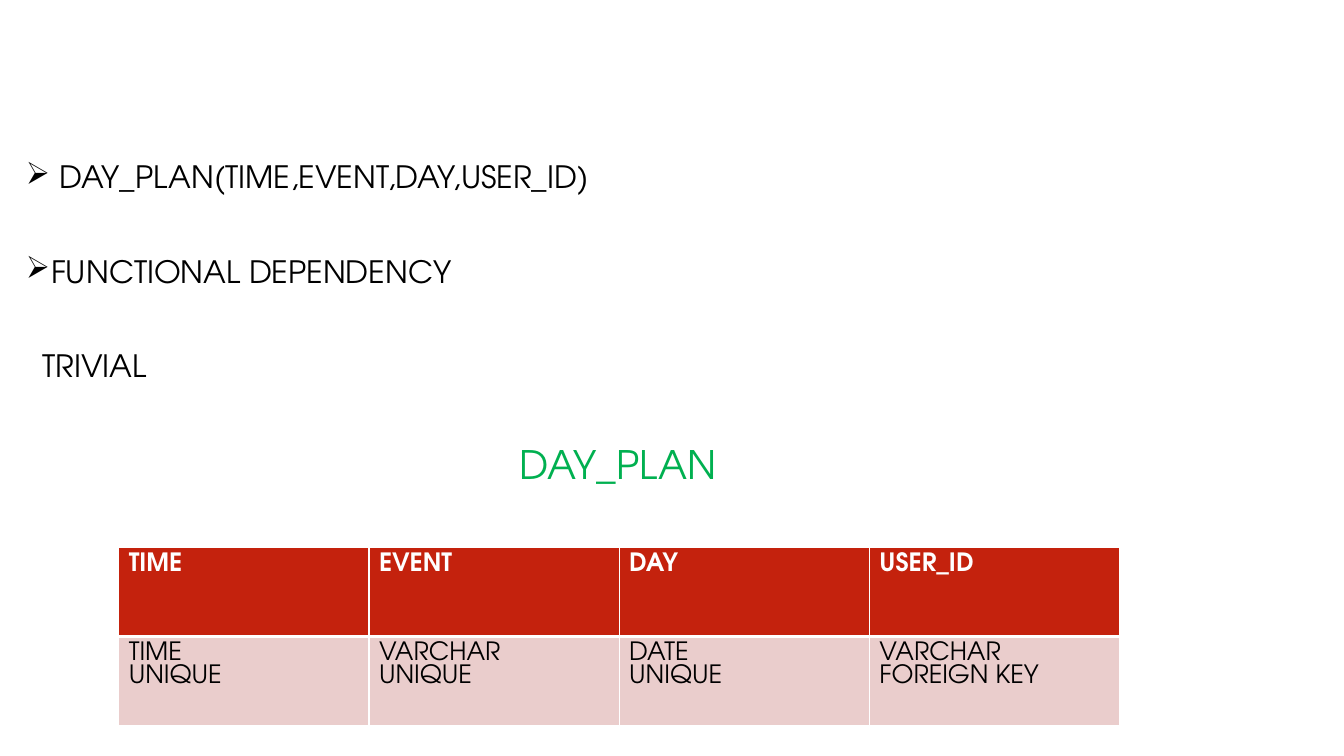
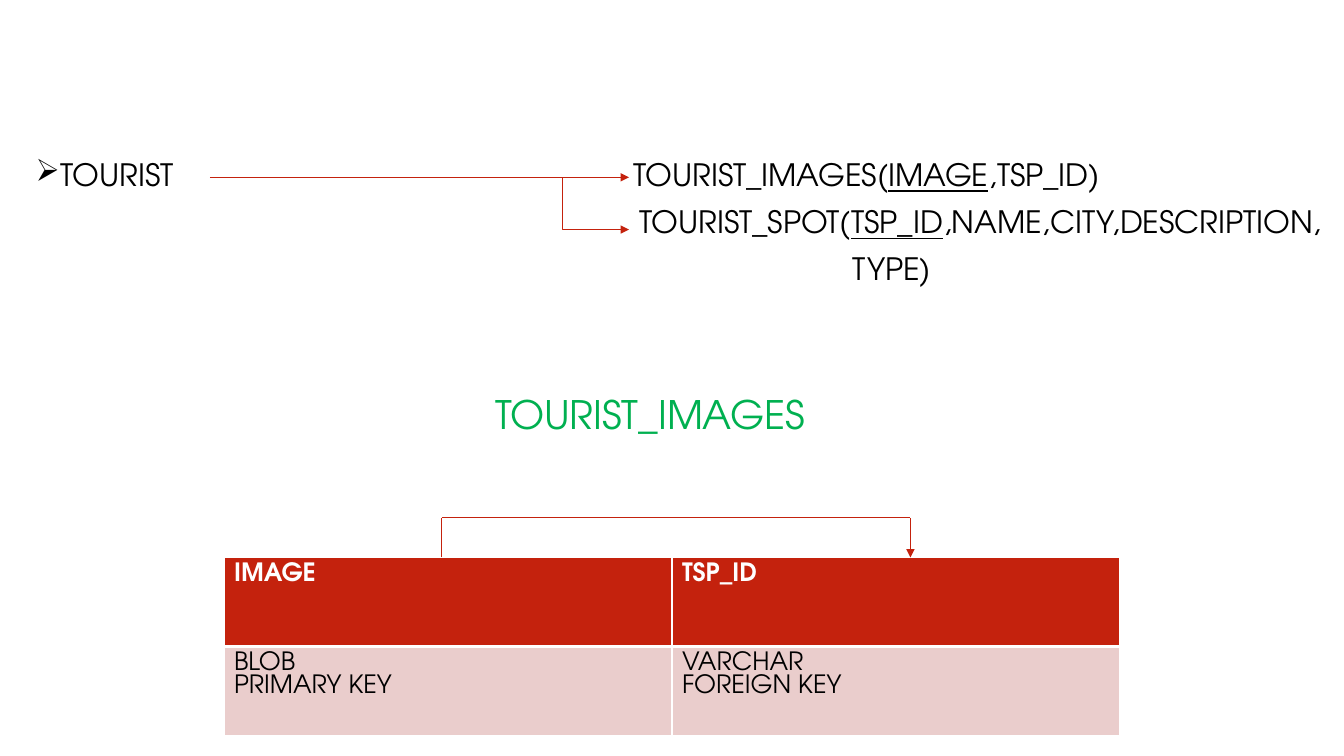
from dataclasses import dataclass

from lxml.etree import SubElement
from pptx import Presentation
from pptx.dml.color import RGBColor
from pptx.enum.shapes import MSO_CONNECTOR as Link
from pptx.enum.text import MSO_ANCHOR as Anchor, MSO_AUTO_SIZE as AutoSize, PP_ALIGN as Align
from pptx.oxml.ns import qn
from pptx.util import Pt

FONT, BULLET_FONT = "TeX Gyre Adventor", "OpenSymbol"
BLACK, WHITE, GREEN = "000000", "FFFFFF", "00B050"
RED, PINK = "C4220D", "EACDCC"
BODY_SIZE, TITLE_SIZE, CELL_SIZE = 22, 28, 18
LINE_SPACING = 0.9
ROW_HEIGHT = 63.6
TITLE_WIDTH, TITLE_HEIGHT = 400, 40


@dataclass(frozen=True)
class Line:
    """A line of body text; the last occurrence of `key` is underlined."""
    text: str
    indent: float = 0
    bullet: bool = False
    key: str = ""


@dataclass(frozen=True)
class Column:
    name: str
    kind: str
    rule: str


@dataclass(frozen=True)
class Arrow:
    start: tuple[float, float]
    end: tuple[float, float]
    head: bool = True
    bent: bool = False


def colour(value: str) -> RGBColor:
    return RGBColor.from_string(value)


def style(paragraph, size: float, fill: str, bold: bool = False) -> None:
    for run in paragraph.runs:
        run.font.name = FONT
        run.font.size = Pt(size)
        run.font.bold = bold
        run.font.color.rgb = colour(fill)


def add_title(slide, text: str, centre: float, top: float) -> None:
    title = slide.shapes.title
    title.left, title.top = Pt(centre - TITLE_WIDTH / 2), Pt(top)
    title.width, title.height = Pt(TITLE_WIDTH), Pt(TITLE_HEIGHT)
    frame = title.text_frame
    frame.text = text
    frame.auto_size = AutoSize.NONE
    frame.vertical_anchor = Anchor.MIDDLE
    heading = frame.paragraphs[0]
    heading.alignment = Align.CENTER
    heading.line_spacing = LINE_SPACING
    style(heading, TITLE_SIZE, GREEN)


def add_lines(slide, left: float, top: float, width: float, height: float,
              lines: list[Line], gap: float = 10) -> None:
    frame = slide.shapes.add_textbox(Pt(left), Pt(top), Pt(width), Pt(height)).text_frame
    frame.word_wrap = True
    for index, line in enumerate(lines):
        paragraph = frame.paragraphs[0] if index == 0 else frame.add_paragraph()
        before, key, after = line.text.rpartition(line.key) if line.key else (line.text, "", "")
        for part in filter(None, (before, key, after)):
            run = paragraph.add_run()
            run.text = part
            if part == line.key:
                run.font.underline = True
        properties = paragraph._p.get_or_add_pPr()
        properties.set("marL", str(Pt(line.indent)))
        if line.bullet:
            properties.set("indent", str(-Pt(line.indent)))
            SubElement(properties, qn("a:buFont"), typeface=BULLET_FONT)
            SubElement(properties, qn("a:buChar"), char="➢")
        paragraph.line_spacing = LINE_SPACING
        paragraph.space_before = Pt(gap if index else 0)
        style(paragraph, BODY_SIZE, BLACK)


def fill_cell(cell, text: str, fill: str, text_fill: str, header: bool) -> None:
    cell.text_frame.text = text
    for paragraph in cell.text_frame.paragraphs:
        style(paragraph, CELL_SIZE, text_fill, bold=header)
    properties = cell._tc.get_or_add_tcPr()
    for side in ("lnL", "lnR", "lnT", "lnB"):
        # The rule between header and body is the heavy one.
        heavy = side == ("lnB" if header else "lnT")
        border = SubElement(properties, qn(f"a:{side}"), w=str(Pt(3 if heavy else 1)))
        SubElement(SubElement(border, qn("a:solidFill")), qn("a:srgbClr"), val=WHITE)
    cell.fill.solid()
    cell.fill.fore_color.rgb = colour(fill)


def add_schema(slide, left: float, top: float, width: float, columns: list[Column]) -> None:
    schema = slide.shapes.add_table(2, len(columns), Pt(left), Pt(top),
                                    Pt(width), Pt(2 * ROW_HEIGHT)).table
    schema.horz_banding = False
    for row in schema.rows:
        row.height = Pt(ROW_HEIGHT)
    for index, column in enumerate(columns):
        schema.columns[index].width = Pt(width / len(columns))
        fill_cell(schema.cell(0, index), column.name, RED, WHITE, header=True)
        fill_cell(schema.cell(1, index), f"{column.kind}\n{column.rule}", PINK, BLACK, header=False)


def add_arrow(slide, arrow: Arrow) -> None:
    link = slide.shapes.add_connector(Link.ELBOW if arrow.bent else Link.STRAIGHT,
                                      *map(Pt, arrow.start + arrow.end))
    link.line.color.rgb = colour(RED)
    link.line.width = Pt(0.75)
    if arrow.head:
        SubElement(link.line._get_or_add_ln(), qn("a:tailEnd"), type="triangle")
    SubElement(link._element.spPr, qn("a:effectLst"))


def build_day_plan(slide) -> None:
    add_title(slide, "DAY_PLAN", 441.5, 313.5)
    add_lines(slide, 11.4, 112.3, 500, 170, [
        Line("DAY_PLAN(TIME,EVENT,DAY,USER_ID)", 24, bullet=True),
        Line("FUNCTIONAL DEPENDENCY", 18, bullet=True),
        Line("TRIVIAL", 12),
    ], gap=43.7)
    add_schema(slide, 84.8, 391, 715, [
        Column("TIME", "TIME", "UNIQUE"),
        Column("EVENT", "VARCHAR", "UNIQUE"),
        Column("DAY", "DATE", "UNIQUE"),
        Column("USER_ID", "VARCHAR", "FOREIGN KEY"),
    ])


def build_tourist_images(slide) -> None:
    body_top, split_y, schema_top = 110.6, 126.7, 398.2
    add_title(slide, "TOURIST_IMAGES", 464.3, 278)
    add_lines(slide, 18.3, body_top, 130, 32, [Line("TOURIST", 18, bullet=True)])
    add_lines(slide, 445.6, body_top, 514.4, 100, [
        Line("TOURIST_IMAGES(IMAGE,TSP_ID)", key="IMAGE"),
        Line("TOURIST_SPOT(TSP_ID,NAME,CITY,DESCRIPTION,", 4.3, key="TSP_ID"),
        Line("TYPE)", 156.5),
    ])
    add_schema(slide, 160, schema_top, 640, [
        Column("IMAGE", "BLOB", "PRIMARY KEY"),
        Column("TSP_ID", "VARCHAR", "FOREIGN KEY"),
    ])
    image_x, spot_x, bridge_y = 315.4, 650.3, 370
    for arrow in (
        Arrow((150, split_y), (449.3, split_y)),
        Arrow((354.6, split_y), (449.3, 164), bent=True),
        Arrow((image_x, schema_top), (image_x, bridge_y), head=False),
        Arrow((image_x, bridge_y), (spot_x, bridge_y), head=False),
        Arrow((spot_x, bridge_y), (spot_x, schema_top)),
    ):
        add_arrow(slide, arrow)


def main() -> None:
    deck = Presentation()
    deck.slide_width, deck.slide_height = Pt(960), Pt(540)
    title_only = deck.slide_layouts[5]
    for build in (build_day_plan, build_tourist_images):
        build(deck.slides.add_slide(title_only))
    deck.save("out.pptx")


if __name__ == "__main__":
    main()
